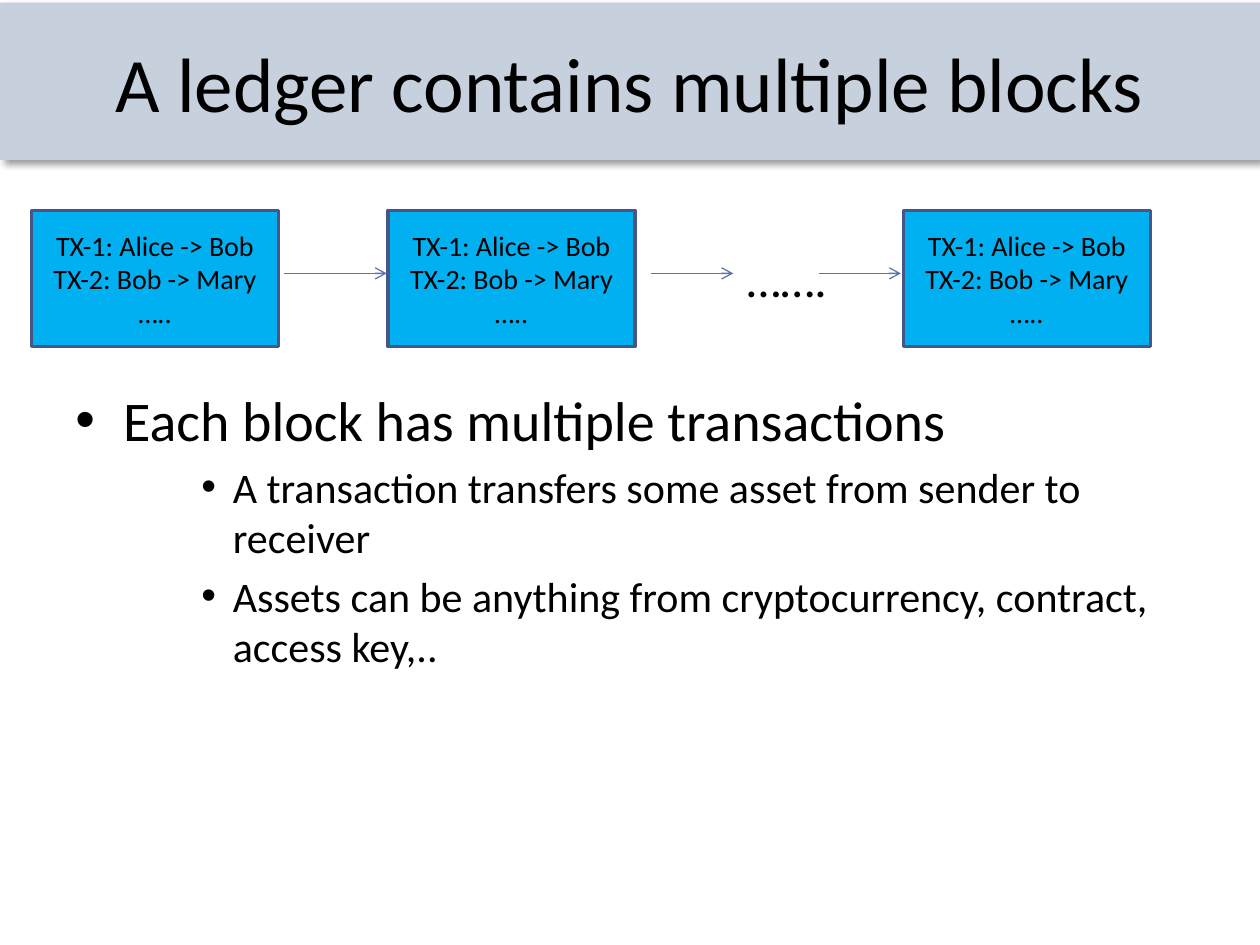
from lxml.etree import SubElement
from pptx import Presentation
from pptx.dml.color import RGBColor
from pptx.enum.shapes import MSO_CONNECTOR, MSO_SHAPE
from pptx.enum.text import MSO_ANCHOR, PP_ALIGN
from pptx.oxml import parse_xml
from pptx.oxml.ns import nsdecls, qn
from pptx.util import Inches, Pt

FONT = "Calibri"
BLACK = RGBColor(0x00, 0x00, 0x00)
BANNER = RGBColor(0xC7, 0xD1, 0xDE)
BLOCK_FILL = RGBColor(0x00, 0xB0, 0xF0)
BLOCK_LINE = RGBColor(0x47, 0x57, 0x85)
ARROW = RGBColor(0x5C, 0x72, 0xB2)

SLIDE_W, SLIDE_H = 10, 7.5
MARGIN = SLIDE_W * 0.05

# Chain row: blocks share one top and size, arrows share one height
BLOCK_TOP, BLOCK_W, BLOCK_H = 1.67, 1.96, 1.08
BLOCK_LEFTS = (0.25, 3.08, 7.17)
ARROW_Y = BLOCK_TOP + 0.5
ARROW_SPANS = ((2.25, 3.07), (5.17, 5.82), (6.5, 7.15))

TRANSACTIONS = ("TX-1: Alice -> Bob", "TX-2: Bob -> Mary", "…..")
BULLETS = (
    (0, "Each block has multiple transactions"),
    (2, "A transaction transfers some asset from sender to receiver"),
    (2, "Assets can be anything from cryptocurrency, contract, access key,.."),
)
# Level: text size, left margin, hanging indent
LEVELS = {0: (32, 0.38, 0.38), 2: (24, 1.25, 0.25)}


def box(x, y, w, h):
    return [Inches(v) for v in (x, y, w, h)]


def add_run(p, text, size):
    r = p.add_run()
    r.text = text
    r.font.name = FONT
    r.font.size = Pt(size)
    r.font.color.rgb = BLACK


def add_rect(s, place, fill, lines, size):
    sp = s.shapes.add_shape(MSO_SHAPE.RECTANGLE, *box(*place))
    sp.shadow.inherit = False
    sp.fill.solid()
    sp.fill.fore_color.rgb = fill
    sp.line.fill.background()
    tf = sp.text_frame
    tf.word_wrap = True
    tf.vertical_anchor = MSO_ANCHOR.MIDDLE
    for i, line in enumerate(lines):
        p = tf.add_paragraph() if i else tf.paragraphs[0]
        p.alignment = PP_ALIGN.CENTER
        add_run(p, line, size)
    return sp


def add_title(s, text):
    sp = add_rect(s, (0, 0.02, SLIDE_W, 1.25), BANNER, [text], 44)
    effects = sp._element.spPr.find(qn("a:effectLst"))
    effects.append(parse_xml(
        f'<a:outerShdw {nsdecls("a")} blurRad="{Pt(4)}" dist="{Pt(3)}" '
        'dir="2700000" algn="tl" rotWithShape="0">'
        '<a:srgbClr val="000000"><a:alpha val="40000"/></a:srgbClr>'
        '</a:outerShdw>'))


def add_block(s, left):
    sp = add_rect(s, (left, BLOCK_TOP, BLOCK_W, BLOCK_H), BLOCK_FILL,
                  TRANSACTIONS, 16)
    sp.line.color.rgb = BLOCK_LINE
    sp.line.width = Pt(2)


def add_arrow(s, start, end):
    cn = s.shapes.add_connector(
        MSO_CONNECTOR.STRAIGHT, *box(start, ARROW_Y, end, ARROW_Y))
    cn.line.color.rgb = ARROW
    cn.line.width = Pt(0.75)
    SubElement(cn.line._get_or_add_ln(), qn("a:tailEnd"), type="arrow")
    SubElement(cn._element.spPr, qn("a:effectLst"))


def add_ellipsis(s):
    tf = s.shapes.add_textbox(*box(5.83, 1.92, 1.2, 0.57)).text_frame
    tf.word_wrap = True
    add_run(tf.paragraphs[0], "…….", 28)


def add_bullets(s):
    top = 3.01
    place = box(MARGIN, top, SLIDE_W - 2 * MARGIN, 6.7 - top)
    tf = s.shapes.add_textbox(*place).text_frame
    tf.word_wrap = True
    for i, (level, text) in enumerate(BULLETS):
        size, margin, hang = LEVELS[level]
        p = tf.add_paragraph() if i else tf.paragraphs[0]
        p.level = level
        if i:
            p.space_before = Pt(size * 0.2)
        pPr = p._p.get_or_add_pPr()
        pPr.set("marL", str(Inches(margin)))
        pPr.set("indent", str(-Inches(hang)))
        SubElement(pPr, qn("a:buFont"), typeface="Arial")
        SubElement(pPr, qn("a:buChar"), char="•")
        add_run(p, text, size)


def main():
    prs = Presentation()
    prs.slide_width, prs.slide_height = Inches(SLIDE_W), Inches(SLIDE_H)
    s = prs.slides.add_slide(prs.slide_layouts[6])

    # Title banner and bullet text
    add_title(s, "A ledger contains multiple blocks")
    add_bullets(s)

    # Chain of blocks
    for left in BLOCK_LEFTS:
        add_block(s, left)
    add_ellipsis(s)
    for start, end in ARROW_SPANS:
        add_arrow(s, start, end)

    prs.save("out.pptx")


if __name__ == "__main__":
    main()
